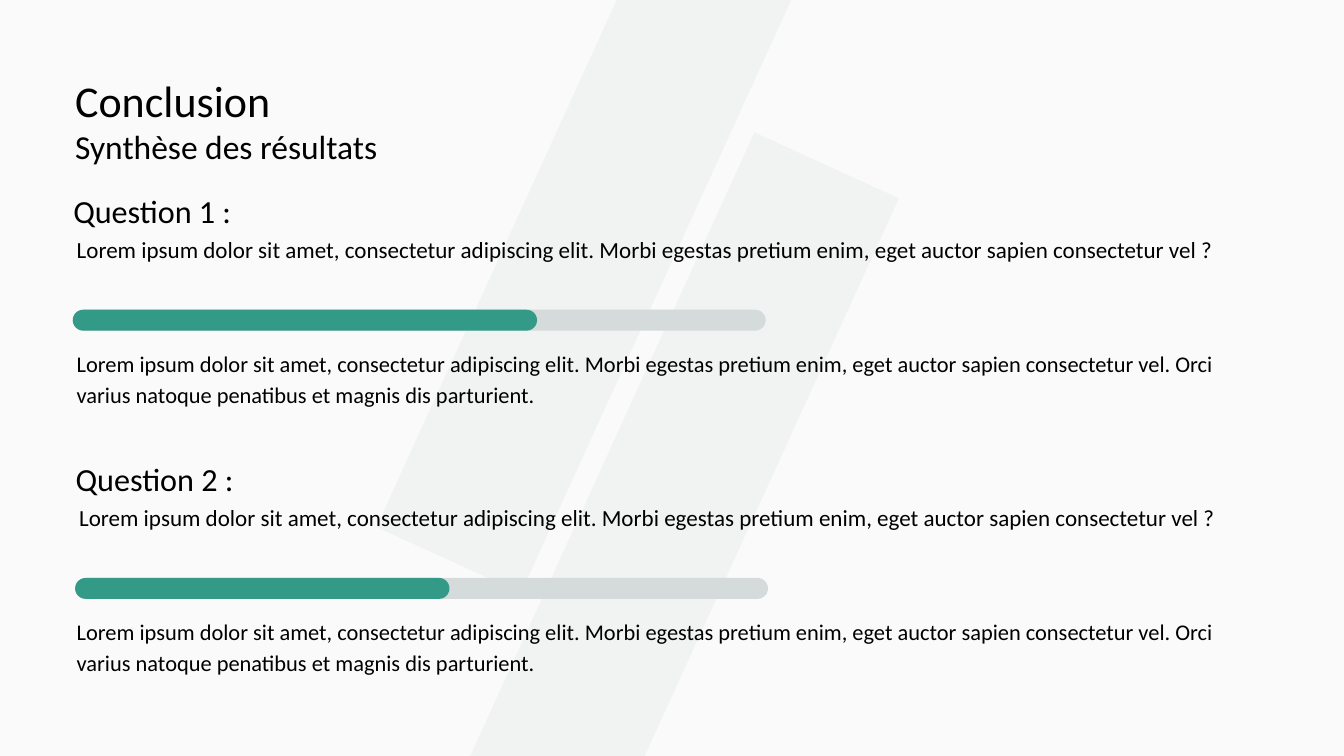
from dataclasses import dataclass

from lxml import etree
from pptx import Presentation
from pptx.dml.color import RGBColor
from pptx.enum.shapes import MSO_SHAPE
from pptx.enum.text import MSO_ANCHOR, MSO_AUTO_SIZE, PP_ALIGN
from pptx.oxml.ns import qn
from pptx.util import Cm, Pt

RECT = MSO_SHAPE.RECTANGLE
ROUND = MSO_SHAPE.ROUNDED_RECTANGLE
TOP = MSO_ANCHOR.TOP
FIXED = MSO_AUTO_SIZE.NONE
LEFT = PP_ALIGN.LEFT

LOREM = (
    "Lorem ipsum dolor sit amet, consectetur adipiscing elit. "
    "Morbi egestas pretium enim, eget auctor sapien consectetur vel"
)
ASK = LOREM + " ?"
REPLY = LOREM + ". Orci varius natoque penatibus et magnis dis parturient."


@dataclass(frozen=True)
class Theme:
    font: str = "Calibri"
    ink: str = "000000"
    paper: str = "FAFAFA"
    track: str = "D5DADA"
    accent: str = "329A87"
    title: float = 47.1
    sub: float = 35.9
    head: float = 34.5
    ask: float = 24.7
    reply: float = 24
    lead: float = 1.4


class Deck:
    """Holds the theme and the current slide, and draws each kind of element."""

    def __init__(self, theme):
        self.theme = theme
        self.file = Presentation()
        self.file.slide_width = Cm(50.8)
        self.file.slide_height = Cm(28.58)
        self.slide = self.file.slides.add_slide(self.file.slide_layouts[5])
        fill = self.slide.background.fill
        fill.solid()
        fill.fore_color.rgb = RGBColor.from_string(theme.paper)

    def label(self, shape, text, size):
        frame = shape.text_frame
        frame.text = text
        frame.word_wrap = True
        frame.auto_size = FIXED
        frame.vertical_anchor = TOP
        frame.margin_left = frame.margin_right = 0
        frame.margin_top = frame.margin_bottom = 0
        para = frame.paragraphs[0]
        para.alignment = LEFT
        para.line_spacing = Pt(round(size * self.theme.lead, 1))
        font = para.runs[0].font
        font.name = self.theme.font
        font.size = Pt(size)
        font.color.rgb = RGBColor.from_string(self.theme.ink)

    def title(self, text, x, y, w, h):
        shape = self.slide.shapes.title
        shape.left, shape.top, shape.width, shape.height = Cm(x), Cm(y), Cm(w), Cm(h)
        self.label(shape, text, self.theme.title)

    def text(self, text, size, x, y, w, h):
        box = self.slide.shapes.add_textbox(Cm(x), Cm(y), Cm(w), Cm(h))
        self.label(box, text, size)

    def block(self, kind, color, x, y, w, h):
        shape = self.slide.shapes.add_shape(kind, Cm(x), Cm(y), Cm(w), Cm(h))
        shape.shadow.inherit = False
        shape.fill.solid()
        shape.fill.fore_color.rgb = RGBColor.from_string(color)
        shape.line.fill.background()
        return shape

    def stripe(self, x, y, h):
        shape = self.block(RECT, self.theme.track, x, y, 6, h)
        shape.rotation = 24.5
        color = shape.element.find(".//" + qn("a:srgbClr"))
        etree.SubElement(color, qn("a:alpha")).set("val", "24000")

    def bar(self, x, y, done):
        for color, width in ((self.theme.track, 26.19), (self.theme.accent, done)):
            shape = self.block(ROUND, color, x, y, width, 0.79)
            shape.adjustments[0] = 0.5

    def topic(self, head, x, y, done):
        theme = self.theme
        self.bar(x, y + 4.72, done)
        self.text(head, theme.head, x + 0.02, y, 22.53, 1.78)
        self.text(ASK, theme.ask, x + 0.15, y + 1.74, 44.91, 2.46)
        self.text(REPLY, theme.reply, 2.9, y + 6.07, 45.09, 2.36)


def main():
    theme = Theme()
    deck = Deck(theme)
    deck.stripe(20.68, -9.78, 32.41)
    deck.stripe(21.79, 4.85, 31.14)
    deck.title("Conclusion", 2.84, 2.46, 21.03, 2.39)
    deck.text("Synthèse des résultats", theme.sub, 2.84, 4.5, 21.03, 1.8)
    topics = (("Question 1 :", 17.55), ("Question 2 :", 14.15))
    for i, (head, done) in enumerate(topics):
        deck.topic(head, 2.75 + 0.09 * i, 6.99 + 10.14 * i, done)
    deck.file.save("out.pptx")


if __name__ == "__main__":
    main()
